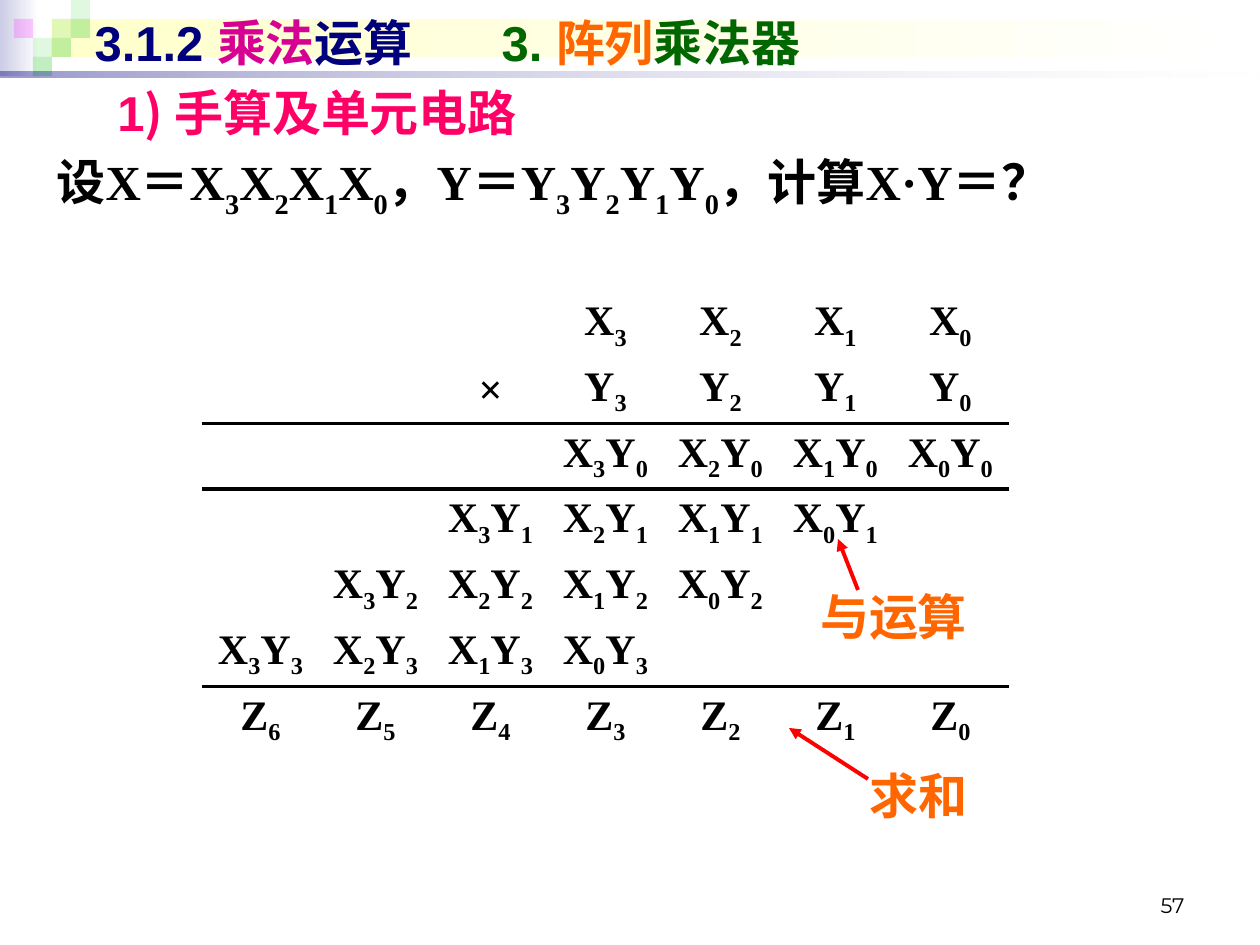
"""Build the slide on the hand calculation behind an array multiplier."""
import dataclasses
import itertools
import typing

import lxml.etree
import pptx
import pptx.dml.color
import pptx.enum.shapes
import pptx.enum.text
import pptx.oxml.ns
import pptx.util

RGBColor = pptx.dml.color.RGBColor
ALIGN = pptx.enum.text.PP_ALIGN
ANCHOR = pptx.enum.text.MSO_ANCHOR
qn = pptx.oxml.ns.qn

BLACK = RGBColor(0x00, 0x00, 0x00)
WHITE = RGBColor(0xFF, 0xFF, 0xFF)
NAVY = RGBColor(0x00, 0x00, 0x7D)
LAVENDER = RGBColor(0xCC, 0xCC, 0xE6)
CREAM = RGBColor(0xFF, 0xFF, 0xCC)
LIME = RGBColor(0x33, 0xCC, 0x33)
MAGENTA = RGBColor(0xFF, 0x00, 0xFF)
PURPLE = RGBColor(0xD6, 0x00, 0x93)
GREEN = RGBColor(0x00, 0x66, 0x00)
ORANGE = RGBColor(0xFF, 0x66, 0x00)
PINK = RGBColor(0xFF, 0x00, 0x66)
RED = RGBColor(0xFF, 0x00, 0x00)

SERIF = "Times New Roman"
SANS = "Arial"
CHINESE = "Noto Sans CJK SC"
TILE = 19
TILE_LEFT = 14
COLUMN_WIDTH = 115
ROW_HEIGHT = 65
RULED_ROWS = {1: "a:lnB", 2: "a:lnT", 5: "a:lnB", 6: "a:lnT"}


@dataclasses.dataclass
class Box:
    left: int
    top: int
    width: int
    height: int

    def emu(self) -> list[int]:
        return [px(length) for length in dataclasses.astuple(self)]


@dataclasses.dataclass
class Piece:
    text: str
    color: RGBColor = BLACK
    font: str = SERIF
    size: int = 28
    bold: bool = True
    baseline: int = 0


@dataclasses.dataclass
class Panel:
    box: Box
    colors: list[RGBColor]
    opacities: list[int]


@dataclasses.dataclass
class Callout:
    text: str
    box: Box
    start: tuple[int, int]
    end: tuple[int, int]


def px(length: int) -> int:
    """Turn pixels into EMU."""
    return round(length * 914400 / 126)


def add_pieces(paragraph: typing.Any, pieces: list[Piece]) -> None:
    """Add formatted runs to a paragraph."""
    for piece in pieces:
        run = paragraph.add_run()
        run.text = piece.text
        formats = {"name": piece.font, "size": pptx.util.Pt(piece.size), "bold": piece.bold}
        for name, value in formats.items():
            setattr(run.font, name, value)
        run.font.color.rgb = piece.color
        properties = run._r.get_or_add_rPr()
        lxml.etree.SubElement(properties, qn("a:ea"), typeface=CHINESE)
        if piece.baseline:
            properties.set("baseline", str(piece.baseline * 1000))


def subscripted(text: str, size: int, baseline: int) -> list[Piece]:
    """Split a formula so that its digits become subscripts."""
    return [Piece("".join(group), size=size, baseline=baseline if is_digit else 0)
            for is_digit, group in itertools.groupby(text, str.isdigit)]


def fill_text(shape: typing.Any, pieces: list[Piece], anchor: typing.Any = ANCHOR.TOP,
              alignment: typing.Any = ALIGN.LEFT) -> typing.Any:
    """Write one paragraph into a shape and return it."""
    formats = {"word_wrap": True, "vertical_anchor": anchor,
               "auto_size": pptx.enum.text.MSO_AUTO_SIZE.NONE}
    for name, value in formats.items():
        setattr(shape.text_frame, name, value)
    paragraph = shape.text_frame.paragraphs[0]
    paragraph.alignment = alignment
    paragraph.space_before = pptx.util.Pt(0)
    add_pieces(paragraph, pieces)
    return paragraph


def place(shape: typing.Any, box: Box) -> None:
    """Move and size a shape."""
    for name, value in zip(("left", "top", "width", "height"), box.emu()):
        setattr(shape, name, value)


def draw_panel(shapes: typing.Any, panel: Panel) -> None:
    """Draw a solid or gradient rectangle with opacity."""
    shape = shapes.add_shape(pptx.enum.shapes.MSO_SHAPE.RECTANGLE, *panel.box.emu())
    shape.shadow.inherit = False
    shape.line.fill.background()
    if len(panel.colors) == 1:
        shape.fill.solid()
        shape.fill.fore_color.rgb = panel.colors[0]
    else:
        shape.fill.gradient()
        shape.fill.gradient_angle = 0
        for stop, color in zip(shape.fill.gradient_stops, panel.colors):
            stop.color.rgb = color
    for color, opacity in zip(shape._element.spPr.iter(qn("a:srgbClr")), panel.opacities):
        lxml.etree.SubElement(color, qn("a:alpha"), val=str(opacity * 1000))


def draw_banner(slide: typing.Any) -> None:
    """Draw the decorated banner behind everything else."""
    tiles = [(2, 1, LIME, 15), (3, 0, LIME, 15), (3, 1, LIME, 30), (1, 2, LIME, 15),
             (0, 1, MAGENTA, 20), (2, 2, LIME, 30), (1, 3, LIME, 30)]
    panels = [Panel(Box(0, 0, 39, 76), [LAVENDER, WHITE], [100, 100]),
              Panel(Box(52, 19, 1203, 38), [CREAM, WHITE], [100, 100])]
    panels += [Panel(Box(TILE_LEFT + column * TILE, row * TILE, TILE, TILE), [color], [opacity])
               for column, row, color, opacity in tiles]
    panels.append(Panel(Box(0, 72, 1260, 6), [NAVY, WHITE], [40, 10]))
    group = slide.shapes.add_group_shape()
    for panel in panels:
        draw_panel(group.shapes, panel)
    slide.shapes._spTree.insert(2, group._element)


def draw_multiplication(slide: typing.Any) -> None:
    """Draw the long multiplication as a ruled table."""
    digits = range(3, -1, -1)
    rows = [[""] * 3 + [f"X{i}" for i in digits], ["", "", "×"] + [f"Y{i}" for i in digits]]
    rows += [[""] * (3 - j) + [f"X{i}Y{j}" for i in digits] + [""] * j for j in range(4)]
    rows.append([f"Z{i}" for i in range(6, -1, -1)])
    box = Box(203, 292, 7 * COLUMN_WIDTH, len(rows) * ROW_HEIGHT)
    table = slide.shapes.add_table(len(rows), 7, *box.emu()).table
    table.first_row = table.horz_banding = False
    for row_index, row in enumerate(rows):
        for column_index, text in enumerate(row):
            cell = table.cell(row_index, column_index)
            cell.fill.background()
            cell.vertical_anchor = ANCHOR.MIDDLE
            paragraph = cell.text_frame.paragraphs[0]
            paragraph.alignment = ALIGN.CENTER
            add_pieces(paragraph, subscripted(text, 24, -25))
            if row_index in RULED_ROWS:
                rule = lxml.etree.Element(qn(RULED_ROWS[row_index]), w=str(pptx.util.Pt(2.25)))
                fill = lxml.etree.SubElement(rule, qn("a:solidFill"))
                lxml.etree.SubElement(fill, qn("a:srgbClr"), val=str(BLACK))
                cell._tc.get_or_add_tcPr().insert(0, rule)


def draw_callout(slide: typing.Any, callout: Callout) -> None:
    """Draw a label and its red arrow."""
    label = slide.shapes.add_textbox(*callout.box.emu())
    fill_text(label, [Piece(callout.text, ORANGE)], alignment=ALIGN.CENTER)
    arrow = slide.shapes.add_connector(pptx.enum.shapes.MSO_CONNECTOR.STRAIGHT,
                                       *map(px, callout.start + callout.end))
    arrow.line.color.rgb = RED
    arrow.line.width = pptx.util.Pt(2.25)
    lxml.etree.SubElement(arrow.line._get_or_add_ln(), qn("a:tailEnd"), type="triangle")
    lxml.etree.SubElement(arrow._element.spPr, qn("a:effectLst"))


def main() -> None:
    """Build and save the presentation."""
    presentation = pptx.Presentation()
    presentation.slide_width, presentation.slide_height = px(1260), px(945)
    slide = presentation.slides.add_slide(presentation.slide_layouts[1])
    draw_banner(slide)
    title, body = slide.placeholders
    place(title, Box(82, 6, 1134, 72))
    words = [("3.1.2 ", NAVY), ("乘法", PURPLE), ("运算\t", NAVY), ("3. ", GREEN),
             ("阵列", ORANGE), ("乘法器", GREEN)]
    paragraph = fill_text(title, [Piece(*word, SANS) for word in words], ANCHOR.MIDDLE)
    tabs = lxml.etree.SubElement(paragraph._p.get_or_add_pPr(), qn("a:tabLst"))
    lxml.etree.SubElement(tabs, qn("a:tab"), pos=str(px(407)), algn="l")
    place(body, Box(44, 145, 1181, 89))
    formula = "设X＝X3X2X1X0，Y＝Y3Y2Y1Y0，计算X·Y＝？"
    properties = fill_text(body, subscripted(formula, 28, -30))._p.get_or_add_pPr()
    properties.set("marL", str(px(50)))
    properties.set("indent", str(px(-50)))
    lxml.etree.SubElement(properties, qn("a:buNone"))
    heading = slide.shapes.add_textbox(*Box(105, 76, 1104, 72).emu())
    fill_text(heading, [Piece("1", PINK, SANS), Piece(") ", PINK, CHINESE),
                        Piece("手算及单元电路", PINK, SANS)], ANCHOR.MIDDLE)
    draw_multiplication(slide)
    for callout in (Callout("与运算", Box(799, 580, 189, 72), (858, 590), (838, 539)),
                    Callout("求和", Box(839, 759, 159, 72), (868, 779), (789, 728))):
        draw_callout(slide, callout)
    number = slide.shapes.add_textbox(*Box(903, 861, 294, 63).emu())
    fill_text(number, [Piece("57", BLACK, "Montserrat", 12, False)], ANCHOR.BOTTOM, ALIGN.RIGHT)
    presentation.save("out.pptx")


if __name__ == "__main__":
    main()
